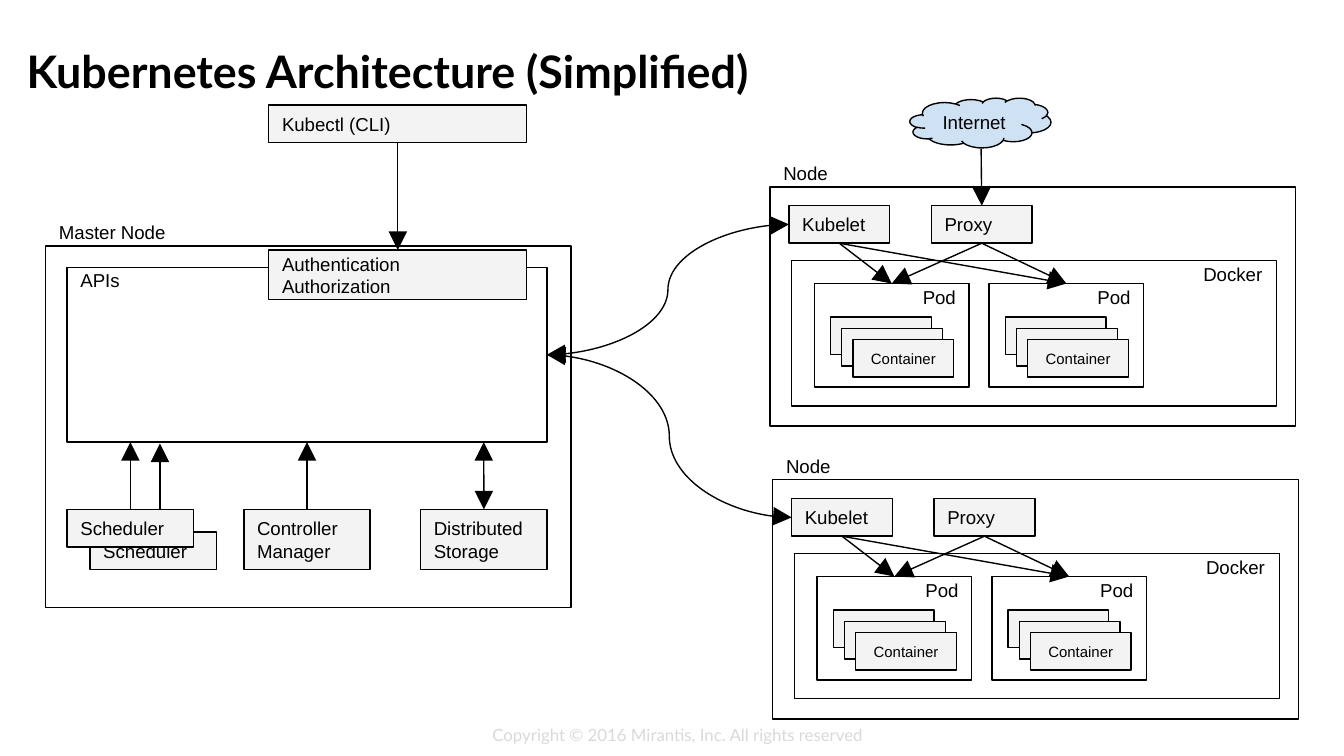
from lxml.etree import SubElement as Sub
from pptx import Presentation
from pptx.dml.color import RGBColor as Rgb
from pptx.enum.shapes import MSO_CONNECTOR as Link, MSO_SHAPE as Shape
from pptx.enum.text import MSO_ANCHOR as Anchor, PP_ALIGN as Align
from pptx.oxml.ns import qn
from pptx.util import Inches, Pt

HEX = {"ink": "000000", "box": "F3F3F3", "cloud": "CFE2F3", "foot": "D9D9D9"}
PAD = {f"margin_{side}": Inches(0.1) for side in ("left", "right", "top", "bottom")}
ROW = 0.28


def color(name):
    """Return the named colour."""
    return Rgb.from_string(HEX[name])


def write(shape, text, size=10, align=Align.LEFT, anchor=Anchor.MIDDLE,
          ink="ink", face="Arial", bold=False):
    """Fill a shape with formatted text."""
    frame = shape.text_frame
    frame.text = text
    for key, value in {**PAD, "word_wrap": True, "vertical_anchor": anchor}.items():
        setattr(frame, key, value)
    for para in frame.paragraphs:
        para.alignment = align
        for run in para.runs:
            for key, value in {"name": face, "size": Pt(size), "bold": bold}.items():
                setattr(run.font, key, value)
            run.font.color.rgb = color(ink)


def label(slide, text, x, y, w=1.21, h=ROW, anchor=Anchor.TOP, **style):
    """Add a text box."""
    area = slide.shapes.add_textbox(*map(Inches, (x, y, w, h)))
    write(area, text, anchor=anchor, **style)


def box(slide, x, y, w, h=ROW, text="", fill=None, kind=Shape.RECTANGLE, **style):
    """Add an outlined shape, filled and lettered on request."""
    shape = slide.shapes.add_shape(kind, *map(Inches, (x, y, w, h)))
    shape.shadow.inherit = False
    shape.line.color.rgb = color("ink")
    shape.line.width = Pt(0.75)
    if fill:
        shape.fill.solid()
        shape.fill.fore_color.rgb = color(fill)
    else:
        shape.fill.background()
    if text:
        write(shape, text, **style)
    return shape


def arrow(slide, start, end, kind=Link.STRAIGHT, both=False):
    """Link two ends, each a point or a (shape, site) pair."""
    spots = [(0, 0) if hasattr(e[0], "shape_id") else e for e in (start, end)]
    line = slide.shapes.add_connector(kind, *[Inches(v) for spot in spots for v in spot])
    for tip, join in ((start, line.begin_connect), (end, line.end_connect)):
        if hasattr(tip[0], "shape_id"):
            join(*tip)
    line.line.color.rgb = color("ink")
    line.line.width = Pt(0.75)
    for tag in ("a:headEnd", "a:tailEnd") if both else ("a:tailEnd",):
        Sub(line.line._get_or_add_ln(), qn(tag), type="triangle", w="lg", len="lg")
    Sub(line._element.spPr, qn("a:effectLst"))


def pod(slide, x, y):
    """Draw a pod holding a stack of three containers."""
    frame = box(slide, x, y, 1.15, 0.77)
    label(slide, "Pod", x, y - 0.07, 1.15, align=Align.RIGHT)
    for i in range(3):
        step = 0.25 * i / 3
        box(slide, x + 0.12 + step, y + 0.25 + step, 0.75, text="Container",
            fill="box", size=8, align=Align.CENTER)
    return frame


def node(slide, x, y):
    """Draw a worker node and return its kubelet and proxy."""
    box(slide, x, y, 3.91, 1.78)
    label(slide, "Node", x, y - 0.27)
    box(slide, x + 0.16, y + 0.55, 3.61, 1.08)
    label(slide, "Docker", x + 2.55, y + 0.48, align=Align.RIGHT)
    pods = [pod(slide, x + 0.33 + 1.3 * i, y + 0.72) for i in range(2)]
    agents = [box(slide, x + 0.14 + 1.06 * i, y + 0.14, 0.75, text=name, fill="box")
              for i, name in enumerate(("Kubelet", "Proxy"))]
    for agent in agents:
        for goal in pods:
            arrow(slide, (agent, 2), (goal, 0))
    return agents


def master(slide, x, y):
    """Draw the master node and return its API box and entry gate."""
    arrow(slide, (x + 0.85, y + 2.12), (x + 0.85, y + 1.47))
    box(slide, x, y, 3.91, 2.69)
    label(slide, "Master Node", x, y - 0.27)
    left, base = x + 0.16, y + 1.96
    api = box(slide, left, y + 0.16, 3.57, 1.3)
    label(slide, "APIs", left, y + 0.09)
    box(slide, left + 0.17, base + 0.17, 0.94, text="Scheduler", fill="box")
    parts = (("Scheduler", ROW), ("Controller Manager", 0.45),
             ("Distributed Storage", 0.45))
    for i, (name, h) in enumerate(parts):
        spot = left + 2.63 * i / 2
        part = box(slide, spot, base, 0.94, h, name, "box")
        goal = (api, 2) if i == 1 else (spot + 0.47, y + 1.46)
        arrow(slide, (part, 0), goal, both=i == 2)
    gate = box(slide, x + 1.66, y + 0.03, 1.92, 0.37,
               "Authentication\nAuthorization", "box")
    return api, gate


def main():
    """Build the slide."""
    deck = Presentation()
    deck.slide_width, deck.slide_height = Inches(10), Inches(10 * 9 / 16)
    slide = deck.slides.add_slide(deck.slide_layouts[6])
    label(slide, "Copyright © 2016 Mirantis, Inc. All rights reserved",
          2.74, 5.32, 4.6, 0.33, size=9, face="Lato", ink="foot", align=Align.CENTER)
    label(slide, "Kubernetes Architecture (Simplified)", 0.1, 0, 9.87, 1.05,
          Anchor.MIDDLE, size=24, face="Lato", bold=True)
    api, gate = master(slide, 0.34, 1.83)
    client = box(slide, 2, 0.78, 1.92, text="Kubectl (CLI)", fill="box")
    arrow(slide, (client, 2), (gate, 0))
    crews = [node(slide, 5.73 + 0.02 * i, 1.39 + 2.18 * i) for i in range(2)]
    for agent, _ in crews:
        arrow(slide, (api, 3), (agent, 1), Link.CURVE, True)
    box(slide, 6.77, 0.73, 1.05, 0.37, "Internet", "cloud", Shape.CLOUD)
    arrow(slide, (7.3, 1.11), (crews[0][1], 0))
    deck.save("out.pptx")


if __name__ == "__main__":
    main()
